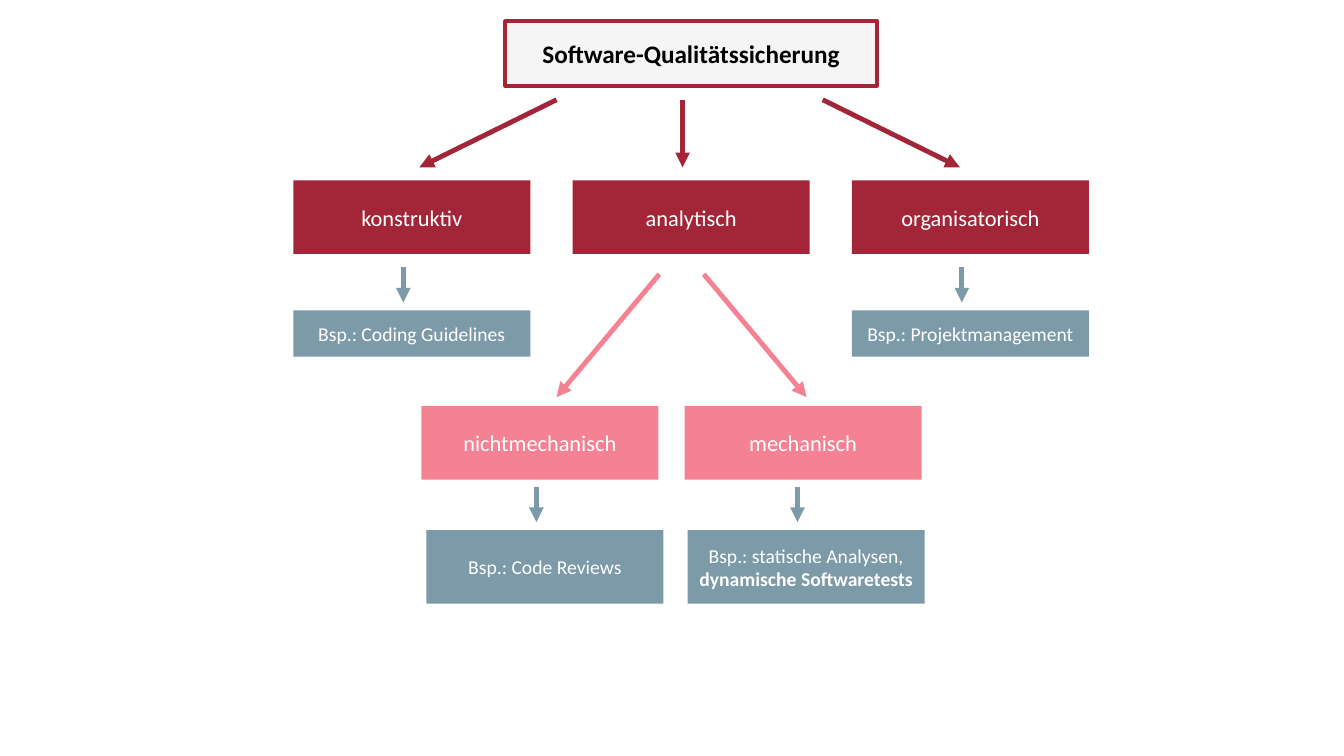
from pptx import Presentation
from pptx import util as u
from pptx.dml.color import RGBColor
from pptx.enum import shapes, text
from pptx.oxml.ns import qn
from lxml import etree

PX = 9144  # EMU per px, 100 px to the inch
FONT = "Calibri"
RED, PINK, BLUE = "A32638", "F48293", "7D9AA9"
WHITE, BLACK, PALE = "FFFFFF", "000000", "F5F5F5"
BOX_WIDTH, BOX_HEIGHT, EXAMPLE_HEIGHT = 235, 73, 46


def px(value):
    return u.Emu(value * PX)


def paint(color_format, color):
    color_format.rgb = RGBColor.from_string(color)


def add_box(slide, left, top, label, fill, size=16, color=WHITE,
            width=BOX_WIDTH, height=BOX_HEIGHT, border=None, bold=False, bold_end=""):
    shape = slide.shapes.add_shape(shapes.MSO_SHAPE.RECTANGLE,
                                   px(left), px(top), px(width), px(height))
    shape.shadow.inherit = False
    shape.fill.solid()
    paint(shape.fill.fore_color, fill)
    if border:
        paint(shape.line.color, border)
        shape.line.width = u.Pt(2.75)
    else:
        shape.line.fill.background()

    frame = shape.text_frame
    frame.text = label
    frame.word_wrap = True
    frame.vertical_anchor = text.MSO_ANCHOR.MIDDLE
    paragraph = frame.paragraphs[0]
    paragraph.alignment = text.PP_ALIGN.CENTER
    paragraph.runs[0].font.bold = bold
    if bold_end:
        run = paragraph.add_run()
        run.text = bold_end
        run.font.bold = True
    for run in paragraph.runs:
        run.font.name = FONT
        run.font.size = u.Pt(size)
        paint(run.font.color, color)


def add_arrow(slide, start, end, color):
    arrow = slide.shapes.add_connector(shapes.MSO_CONNECTOR.STRAIGHT,
                                       *map(px, (*start, *end)))
    paint(arrow.line.color, color)
    arrow.line.width = u.Pt(3.5)
    etree.SubElement(arrow.line._get_or_add_ln(), qn("a:tailEnd"), type="triangle")
    etree.SubElement(arrow._element.spPr, qn("a:effectLst"))


def add_example(slide, left, top, label, arrow_x, height=BOX_HEIGHT, bold_end=""):
    """An example box with the short arrow that leads down to it."""
    add_arrow(slide, (arrow_x, top - 43), (arrow_x, top - 8), BLUE)
    add_box(slide, left, top, label, BLUE, size=14, height=height, bold_end=bold_end)


def main():
    presentation = Presentation()
    presentation.slide_width, presentation.slide_height = px(1333), px(750)
    slide = presentation.slides.add_slide(presentation.slide_layouts[6])

    # Root
    add_box(slide, 501, 21, "Software-Qualitätssicherung", PALE, size=18, color=BLACK,
            width=369, height=64, border=RED, bold=True)

    # Three branches, in equal columns
    columns = [291 + 277 * index for index in range(3)]
    for left, label in zip(columns, ("konstruktiv", "analytisch", "organisatorisch")):
        add_box(slide, left, 179, label, RED)
    for start_x, end_x in ((552, 416), (677, 677), (816, 952)):
        add_arrow(slide, (start_x, 99), (end_x, 166), RED)

    # Examples of the outer branches
    add_example(slide, columns[0], 308, "Bsp.: Coding Guidelines", 400, EXAMPLE_HEIGHT)
    add_example(slide, columns[2], 308, "Bsp.: Projektmanagement", 954, EXAMPLE_HEIGHT)

    # Analytic methods
    for left, label, start_x, end_x in ((418, "nichtmechanisch", 654, 552),
                                        (679, "mechanisch", 698, 800)):
        add_box(slide, left, 403, label, PINK)
        add_arrow(slide, (start_x, 272), (end_x, 394), PINK)

    # Examples of the analytic methods
    add_example(slide, 423, 526, "Bsp.: Code Reviews", 532)
    add_example(slide, 682, 526, "Bsp.: statische Analysen, ", 791,
                bold_end="dynamische Softwaretests")

    presentation.save("out.pptx")


if __name__ == "__main__":
    main()
